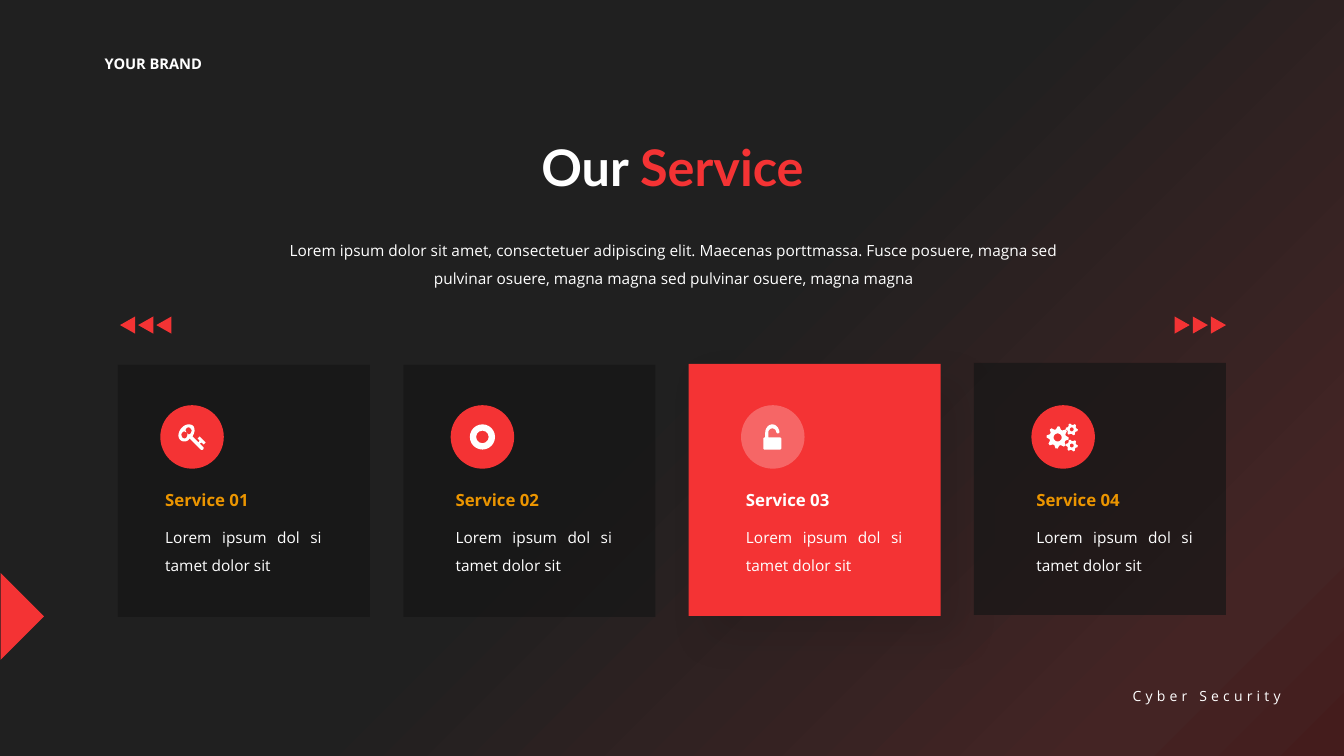
from math import cos, pi, sin

from lxml import etree
from pptx import Presentation
from pptx.dml.color import RGBColor
from pptx.enum.shapes import MSO_SHAPE
from pptx.enum.text import MSO_ANCHOR, MSO_AUTO_SIZE, PP_ALIGN
from pptx.oxml.ns import qn
from pptx.util import Inches, Pt

RECT, OVAL, RING = MSO_SHAPE.RECTANGLE, MSO_SHAPE.OVAL, MSO_SHAPE.DONUT
WEDGE, ARROW = MSO_SHAPE.RIGHT_TRIANGLE, MSO_SHAPE.ISOSCELES_TRIANGLE
LEFT, MID, RIGHT, FULL = PP_ALIGN.LEFT, PP_ALIGN.CENTER, PP_ALIGN.RIGHT, PP_ALIGN.JUSTIFY

COLOR = {"red": "F43334", "white": "FFFFFF", "gold": "EB9500", "card": "161616", "black": "000000"}
BACK = [(0, "202020"), (50, "202020"), (88, "442424"), (100, "441C1C")]
LABEL = "YOUR BRAND"
FOOTER = "Cyber Security"
TITLE = [("Our ", "white"), ("Service", "red")]
INTRO = ("Lorem ipsum dolor sit amet, consectetuer adipiscing elit. Maecenas porttmassa. "
         "Fusce posuere, magna sed pulvinar osuere, magna magna sed pulvinar osuere, magna magna")
BLURB = "Lorem ipsum dol si tamet dolor sit"
CARDS = [
    ("Service 01", 3.62, False),
    ("Service 02", 3.62, False),
    ("Service 03", 3.61, True),
    ("Service 04", 3.6, False),
]
KEY = [
    [(2.02, 4.41), (2, 4.39), (1.98, 4.4), (2.02, 4.44), (2.02, 4.46, 2.01, 4.47, 1.99, 4.46),
     (1.88, 4.35), (1.87, 4.37, 1.85, 4.38, 1.83, 4.38), (1.79, 4.38, 1.77, 4.35, 1.77, 4.32),
     (1.77, 4.27, 1.82, 4.21, 1.87, 4.21), (1.91, 4.21, 1.93, 4.23, 1.93, 4.27),
     (1.93, 4.29, 1.92, 4.31, 1.91, 4.33), (1.97, 4.39), (1.98, 4.37), (1.96, 4.35), (1.98, 4.33), (2.04, 4.39)],
    [(1.87, 4.24), (1.85, 4.24, 1.84, 4.26, 1.84, 4.27), (1.85, 4.29), (1.83, 4.28),
     (1.81, 4.28, 1.8, 4.3, 1.8, 4.31), (1.8, 4.33, 1.81, 4.35, 1.83, 4.35),
     (1.85, 4.35, 1.86, 4.33, 1.86, 4.3), (1.87, 4.31), (1.89, 4.31, 1.9, 4.29, 1.9, 4.27),
     (1.9, 4.26, 1.89, 4.24, 1.87, 4.24)],
]
LOCK = [
    [(7.75, 4.35), (7.75, 4.45), (7.74, 4.46), (7.58, 4.46), (7.57, 4.45), (7.57, 4.35), (7.58, 4.34),
     (7.59, 4.34), (7.59, 4.29), (7.59, 4.25, 7.62, 4.21, 7.66, 4.21), (7.7, 4.21, 7.73, 4.25, 7.73, 4.29),
     (7.72, 4.3), (7.71, 4.3), (7.7, 4.29), (7.7, 4.27, 7.68, 4.25, 7.66, 4.25),
     (7.64, 4.25, 7.62, 4.27, 7.62, 4.29), (7.62, 4.34), (7.74, 4.34)],
]
GEARS = [(10.49, 4.34, 0.11, 0.04, 8), (10.63, 4.26, 0.06, 0.02, 6), (10.63, 4.42, 0.06, 0.02, 6)]


def rgb(name):
    return RGBColor.from_string(COLOR[name])


def paint(shape, name, alpha=100):
    shape.shadow.inherit = False
    shape.fill.solid()
    shape.fill.fore_color.rgb = rgb(name)
    shape.line.fill.background()
    if alpha < 100:
        tone = shape.element.spPr.find(".//" + qn("a:srgbClr"))
        etree.SubElement(tone, qn("a:alpha"), val=str(alpha * 1000))


def draw(kind, box, name, alpha=100, turn=0):
    shape = slide.shapes.add_shape(kind, *map(Inches, box))
    paint(shape, name, alpha)
    shape.rotation = turn
    return shape


def fill(shape, box, runs, size, font="Open Sans", bold=False, align=LEFT, space=1, wrap=True):
    shape.left, shape.top, shape.width, shape.height = map(Inches, box)
    frame = shape.text_frame
    frame.word_wrap = wrap
    frame.auto_size = MSO_AUTO_SIZE.NONE
    frame.vertical_anchor = MSO_ANCHOR.TOP
    para = frame.paragraphs[0]
    para.alignment, para.line_spacing, para.space_before = align, space, Pt(0)
    for text, name in runs:
        run = para.add_run()
        run.text = text
        run.font.name, run.font.size, run.font.bold = font, Pt(size), bold
        run.font.color.rgb = rgb(name)
    return para


def write(box, text, name, size, **style):
    return fill(slide.shapes.add_textbox(0, 0, 0, 0), box, [(text, name)], size, **style)


def trace(steps):
    points = [steps[0]]
    for step in steps[1:]:
        if len(step) == 2:
            points.append(step)
            continue
        knots = [points[-1], step[:2], step[2:4], step[4:]]
        for t in (n / 8 for n in range(1, 9)):
            mix = ((1 - t) ** 3, 3 * t * (1 - t) ** 2, 3 * t * t * (1 - t), t ** 3)
            points.append(tuple(sum(w * k[i] for w, k in zip(mix, knots)) for i in (0, 1)))
    return points


def spin(x, y, sizes):
    step = 2 * pi / len(sizes)
    return [(x + r * cos(i * step), y + r * sin(i * step)) for i, r in enumerate(sizes)]


def outline(loops):
    loops = [[(x * 1000, y * 1000) for x, y in loop] for loop in loops]
    pen = slide.shapes.build_freeform(*loops[0][0], scale=914.4)
    for i, loop in enumerate(loops):
        if i:
            pen.move_to(*loop[0])
        pen.add_line_segments(loop[1:], close=True)
    paint(pen.convert_to_shape(), "white")


deck = Presentation()
deck.slide_width, deck.slide_height = Inches(13.33), Inches(7.5)
slide = deck.slides.add_slide(deck.slide_layouts[1])

slide.background.fill.gradient()
grad = slide.element.find(".//" + qn("a:gradFill"))
stops = grad.find(qn("a:gsLst"))
for stop in list(stops):
    stops.remove(stop)
for place, tone in BACK:
    stop = etree.SubElement(stops, qn("a:gs"), pos=str(place * 1000))
    etree.SubElement(stop, qn("a:srgbClr"), val=tone)
grad.find(qn("a:lin")).set("ang", str(45 * 60000))

write((0.94, 0.49, 1.18, 0.28), LABEL, "white", 10.5, bold=True, wrap=False)
foot = write((11.01, 6.77, 1.79, 0.27), FOOTER, "white", 10, align=RIGHT, wrap=False)
foot.runs[0]._r.get_or_add_rPr().set("spc", "300")
draw(WEDGE, (-0.3, 5.81, 0.61, 0.61), "red", turn=225)

fill(slide.shapes.title, (4.24, 1.3, 4.86, 0.71), TITLE, 36, font="Lato", bold=True, align=MID)
body = slide.placeholders[1]
props = body.text_frame.paragraphs[0]._p.get_or_add_pPr()
props.set("marL", "0")
props.set("indent", "0")
etree.SubElement(props, qn("a:buNone"))
fill(body, (2.6, 2.25, 8.17, 0.66), [(INTRO, "white")], 11, align=MID, space=1.5)

for i, (name, top, hot) in enumerate(CARDS):
    card = draw(RECT, (1.17 + 2.83 * i, top, 2.5, 2.5), "red" if hot else "card", 100 if hot else 70)
    if hot:
        glow = etree.SubElement(card.element.spPr.find(qn("a:effectLst")), qn("a:outerShdw"),
                                blurRad=str(Pt(30)), dist=str(Pt(20)), dir=str(45 * 60000),
                                algn="tl", rotWithShape="0")
        tone = etree.SubElement(glow, qn("a:srgbClr"), val=COLOR["black"])
        etree.SubElement(tone, qn("a:alpha"), val="10000")
    shift = 2.88 * i
    draw(OVAL, (1.59 + shift, 4.02, 0.63, 0.63), "white" if hot else "red", 25 if hot else 100)
    write((1.54 + shift, 4.81, 1.2, 0.3), name, "white" if hot else "gold", 12, bold=True)
    write((1.54 + shift, 5.1, 1.75, 0.66), BLURB, "white", 11, align=FULL, space=1.5)

outline([trace(loop) for loop in KEY])
draw(RING, (4.66, 4.21, 0.25, 0.25), "white")
outline([trace(loop) for loop in LOCK])
wheels = []
for x, y, rim, hole, teeth in GEARS:
    wheels.append(spin(x, y, [rim, rim, rim * 0.75, rim * 0.75] * teeth))
    wheels.append(spin(x, y, [hole] * 24))
outline(wheels)

for start, turn in ((1.18, 270), (11.64, 90)):
    for i in range(3):
        draw(ARROW, (start + 0.18 * i, 3.15, 0.17, 0.15), "red", turn=turn)

deck.save("out.pptx")
